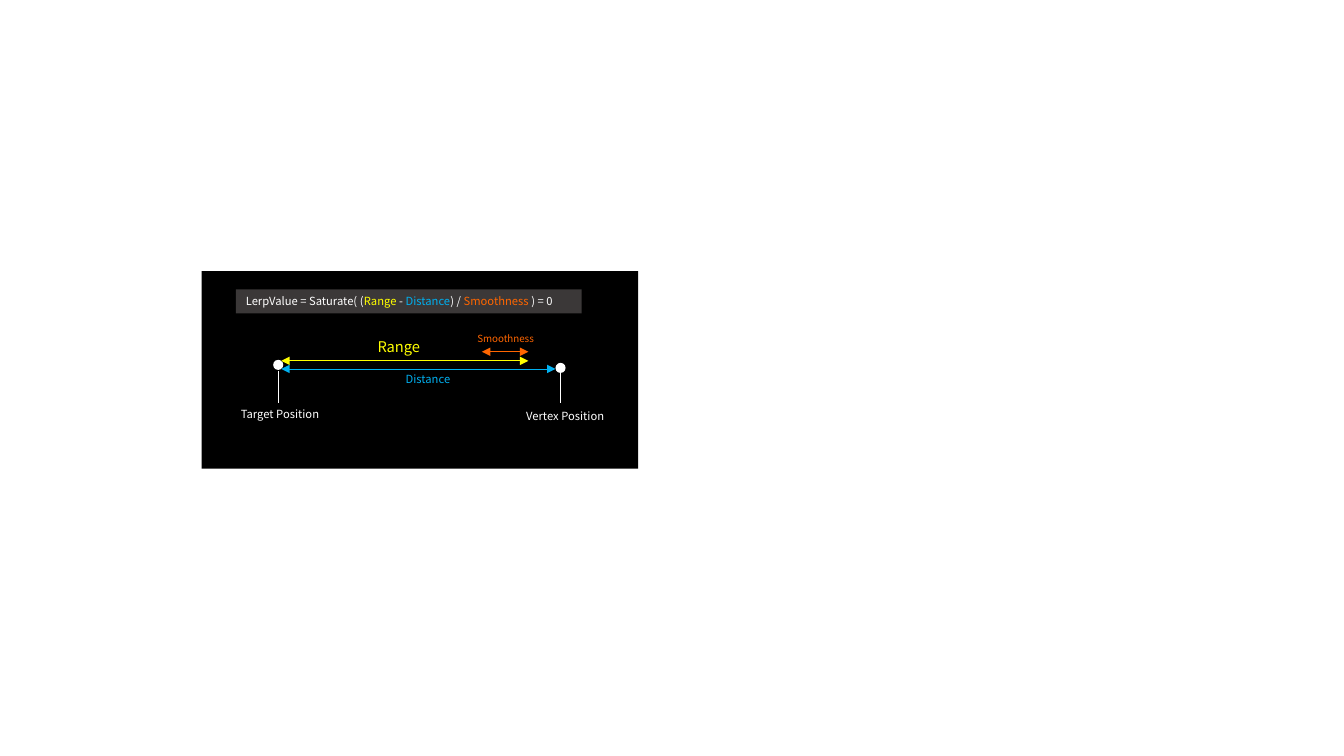
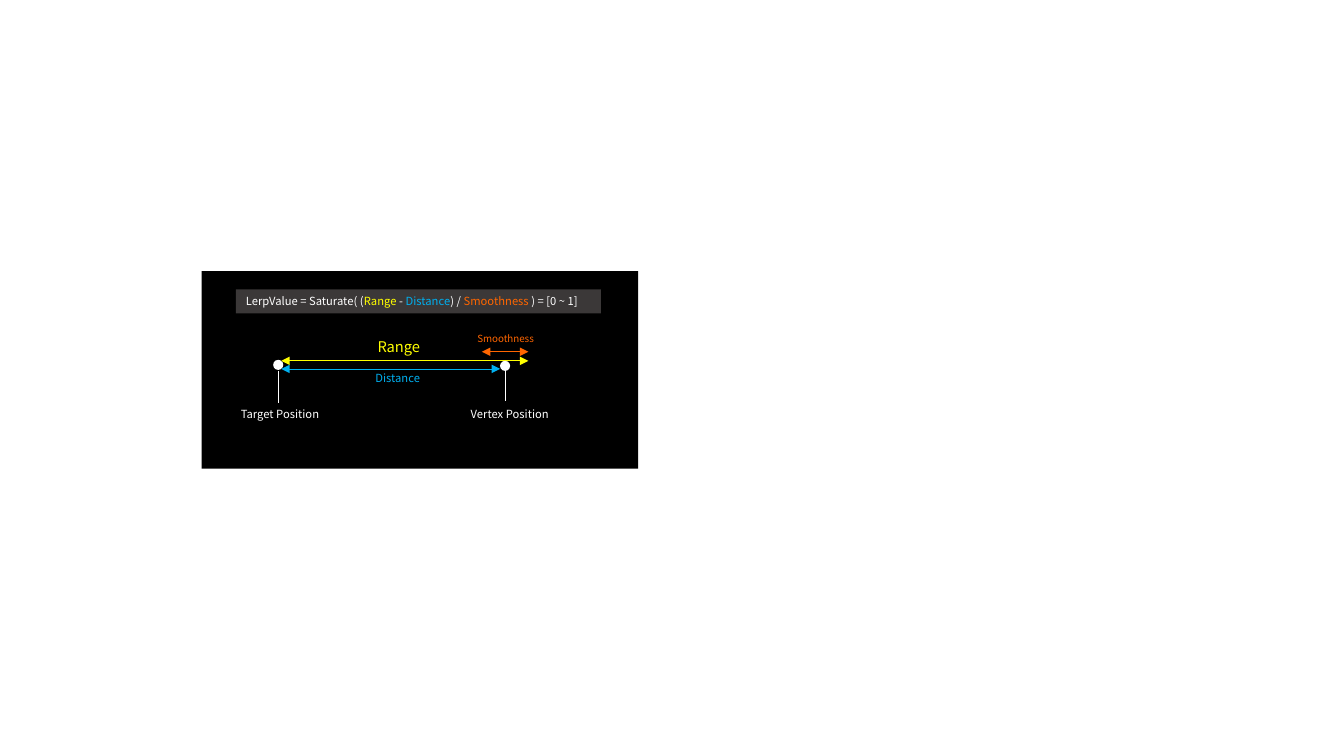
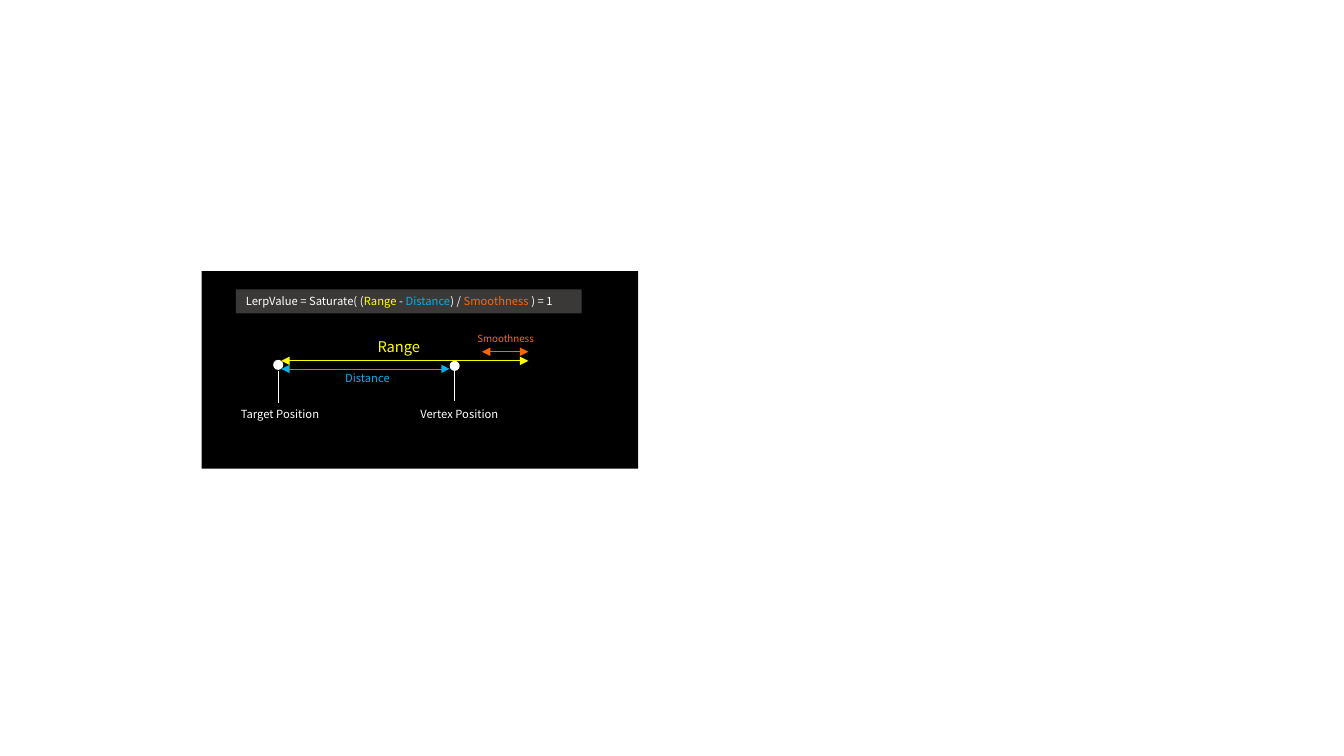
from lxml import etree
from pptx import Presentation
from pptx.dml.color import RGBColor
from pptx.enum import shapes, text
from pptx.oxml.ns import qn
from pptx.util import Inches, Pt

FONT = "Noto Sans CJK KR"
COLORS = {
    "panel": "000000",
    "formula": "3B3838",
    "white": "FFFFFF",
    "range": "FFFF00",
    "distance": "00B0F0",
    "smoothness": "FF6600",
}
PANEL = (2, 2.69, 4.33, 1.96)
DOT = 0.1
ARROW_START = 0.79
RANGE_END = 3.24

CASES = [
    {"result": "0", "formula_w": 3.43, "vertex": (3.51, 0.91), "distance_label": (1.63, 0.95)},
    {"result": "[0 ~ 1]", "formula_w": 3.62, "vertex": (2.96, 0.89), "distance_label": (1.33, 0.94)},
    {"result": "1", "formula_w": 3.43, "vertex": (2.46, 0.89), "distance_label": (1.03, 0.94)},
]


def color(name):
    return RGBColor.from_string(COLORS[name])


def add_text(s, x, y, w, h, runs, size=8, fill=None, align=text.PP_ALIGN.LEFT):
    sp = s.shapes.add_textbox(Inches(x), Inches(y), Inches(w), Inches(h))
    if fill:
        sp.fill.solid()
        sp.fill.fore_color.rgb = color(fill)
    tf = sp.text_frame
    tf.word_wrap = True
    tf.auto_size = text.MSO_AUTO_SIZE.SHAPE_TO_FIT_TEXT
    p = tf.paragraphs[0]
    p.alignment = align
    for words, tone in runs:
        r = p.add_run()
        r.text = words
        r.font.name = FONT
        r.font.size = Pt(size)
        r.font.color.rgb = color(tone)


def add_filled(s, kind, x, y, w, h, fill):
    sp = s.shapes.add_shape(kind, Inches(x), Inches(y), Inches(w), Inches(h))
    sp.shadow.inherit = False
    sp.fill.solid()
    sp.fill.fore_color.rgb = color(fill)
    sp.line.fill.background()


def add_line(s, x1, y1, x2, y2, tone, arrows=False):
    line = s.shapes.add_connector(
        shapes.MSO_CONNECTOR.STRAIGHT, Inches(x1), Inches(y1), Inches(x2), Inches(y2))
    line.line.color.rgb = color(tone)
    line.line.width = Pt(0.5)
    if arrows:
        for end in ("a:headEnd", "a:tailEnd"):
            etree.SubElement(line.line._get_or_add_ln(), qn(end), type="triangle")
    etree.SubElement(line._element.spPr, qn("a:effectLst"))


def add_marker(s, x, y, label, label_dx, label_dy, label_w, stem_top):
    add_filled(s, shapes.MSO_SHAPE.OVAL, x, y, DOT, DOT, "white")
    center = x + DOT / 2
    add_line(s, center, y + stem_top, center, y + stem_top + 0.32, "white")
    add_text(s, x + label_dx, y + label_dy, label_w, 0.24, [(label, "white")])


def add_measure(s, x1, x2, y, label, tone, label_x, label_y, label_h, size):
    add_line(s, x1, y, x2, y, tone, arrows=True)
    add_text(s, label_x, label_y, 1.23, label_h, [(label, tone)],
             size=size, align=text.PP_ALIGN.CENTER)


def add_formula(s, x, y, w, result):
    runs = [
        ("LerpValue = Saturate( (", "white"),
        ("Range ", "range"),
        ("- ", "white"),
        ("Distance", "distance"),
        (") / ", "white"),
        ("Smoothness ", "smoothness"),
        (f") = {result}", "white"),
    ]
    add_text(s, x, y, w, 0.24, runs, fill="formula")


def add_diagram(s, box, case):
    x, y, w, h = box
    vertex_x, vertex_y = case["vertex"]
    label_x, label_y = case["distance_label"]
    start, range_end = x + ARROW_START, x + RANGE_END
    add_filled(s, shapes.MSO_SHAPE.RECTANGLE, x, y, w, h, "panel")
    add_marker(s, x + 0.71, y + 0.88, "Target Position", -0.42, 0.42, 1.23, 0.11)
    add_measure(s, range_end - 0.46, range_end, y + 0.8, "Smoothness", "smoothness",
                x + 2.4, y + 0.56, 0.22, 7)
    add_measure(s, start, x + vertex_x, y + 0.97, "Distance", "distance",
                x + label_x, y + label_y, 0.24, 8)
    add_measure(s, start, range_end, y + 0.89, "Range", "range",
                x + 1.34, y + 0.61, 0.28, 10.5)
    add_marker(s, x + vertex_x, y + vertex_y, "Vertex Position", -0.39, 0.41, 1.34, 0.08)
    add_formula(s, x + 0.34, y + 0.18, case["formula_w"], case["result"])


prs = Presentation()
prs.slide_width = Inches(13.33)
prs.slide_height = Inches(7.5)
for case in CASES:
    add_diagram(prs.slides.add_slide(prs.slide_layouts[6]), PANEL, case)
prs.save("out.pptx")
